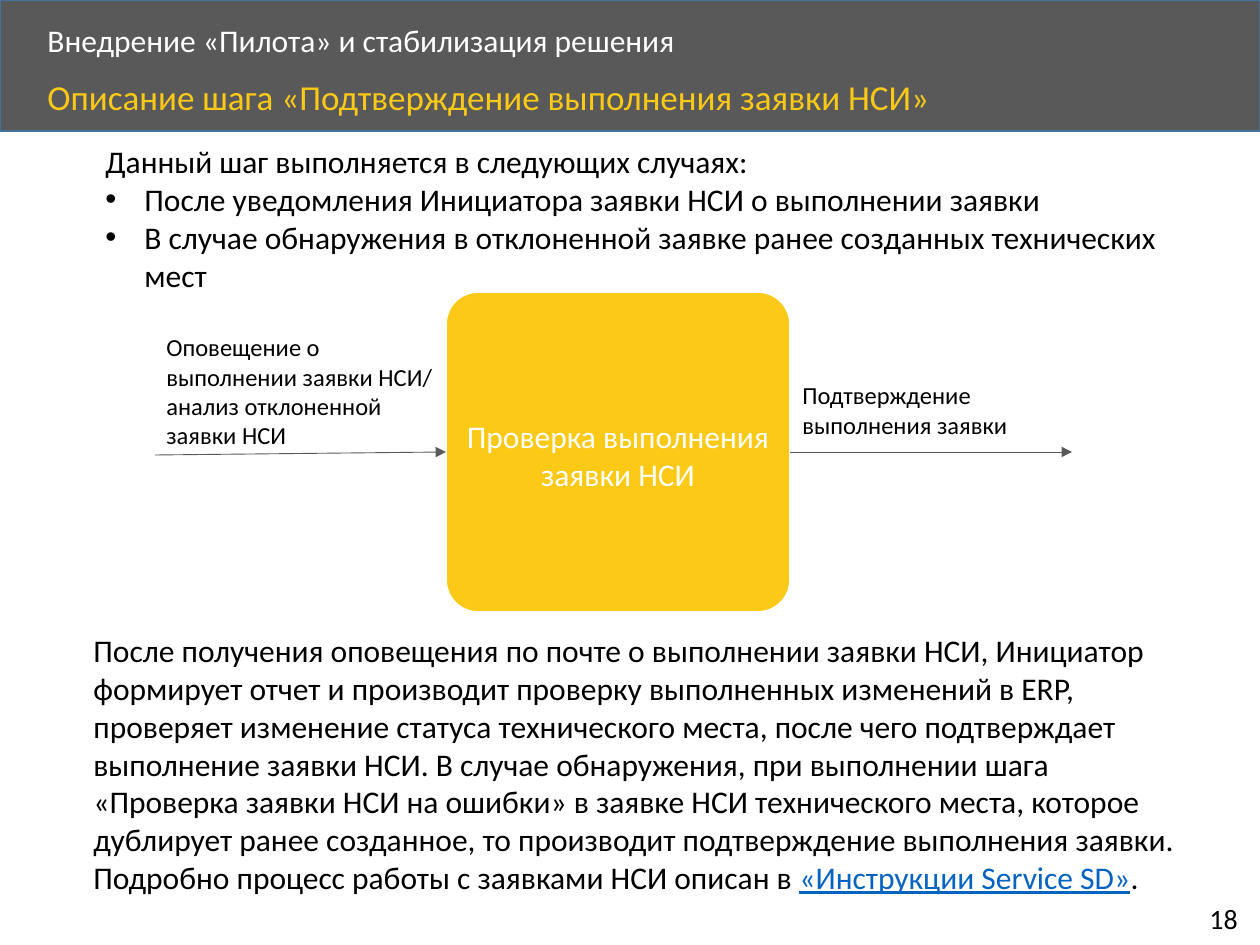
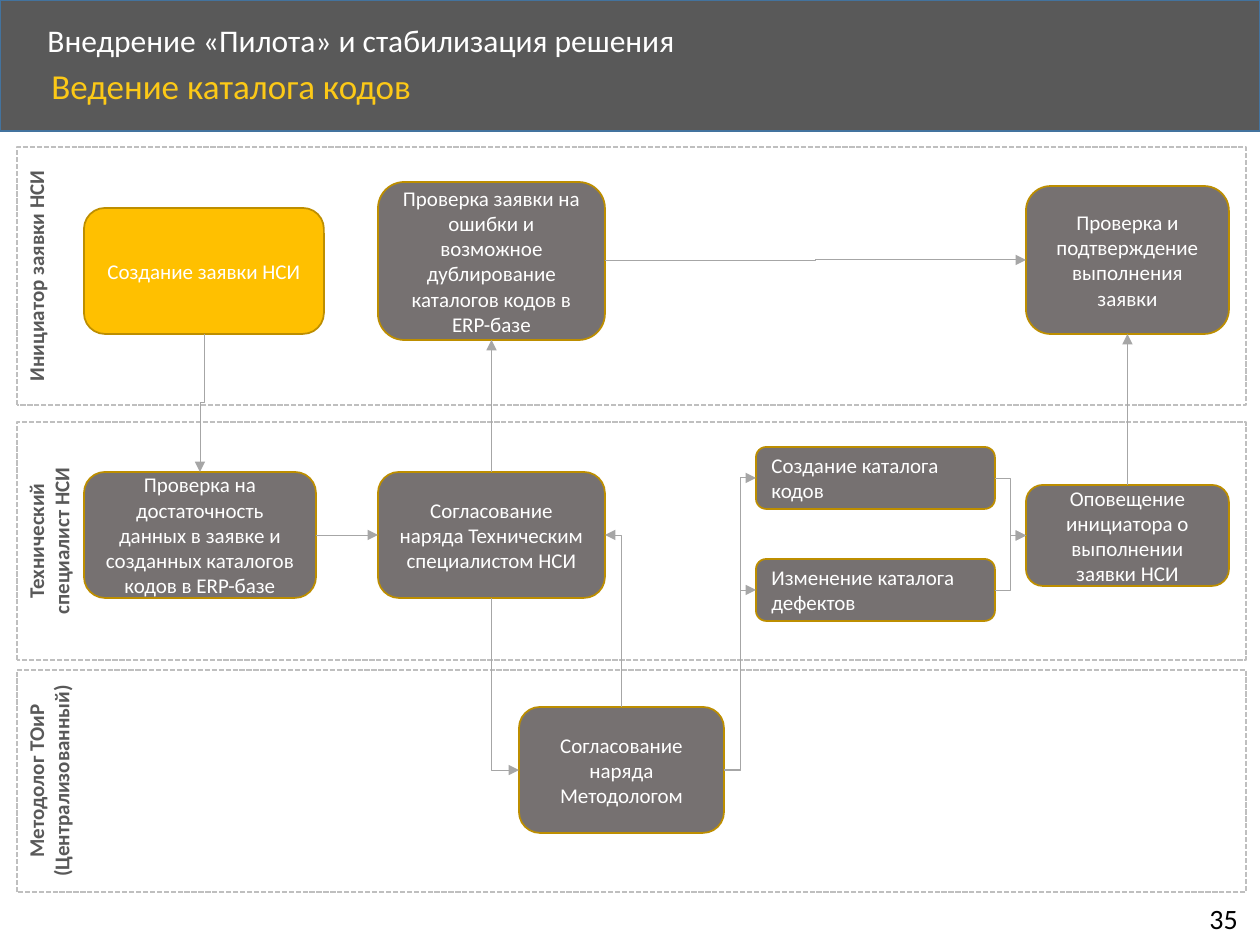
from dataclasses import dataclass
from typing import Any, NamedTuple, Optional

from lxml.etree import SubElement
from pptx import Presentation
from pptx.dml.color import RGBColor
from pptx.enum.dml import MSO_LINE
from pptx.enum.shapes import MSO_CONNECTOR as Link, MSO_SHAPE as Form
from pptx.enum.text import MSO_ANCHOR as Anchor, PP_ALIGN as Align
from pptx.oxml.ns import qn
from pptx.util import Emu, Pt

SCALE = 914400 / 126
FONT = "Calibri"
WHITE, BLACK, DARK, GREY = "FFFFFF", "000000", "595959", "767171"
GOLD, AMBER, BROWN, BLUE = "FCC917", "FFC000", "BD8E00", "0563C1"
WIRE, DASH, EDGE = "A6A6A6", "BFBFBF", "43739E"
TOP, LEFT, BASE, RIGHT = range(4)


class Box(NamedTuple):
    x: float
    y: float
    w: float
    h: float


@dataclass
class Type:
    size: int = 18
    hue: str = BLACK
    bold: bool = False
    align: Align = Align.LEFT
    anchor: Anchor = Anchor.TOP
    space: float = 1.0
    wrap: bool = True


@dataclass
class Look:
    fill: Optional[str]
    edge: str
    form: Form = Form.ROUNDED_RECTANGLE
    round: Optional[float] = None
    dash: Optional[MSO_LINE] = None


class Node(NamedTuple):
    key: str
    box: Box
    text: str
    fill: str = GREY
    align: Align = Align.CENTER


class Lane(NamedTuple):
    y: int
    h: int
    lines: list[str]


class Wire(NamedTuple):
    start: str
    out: int
    end: str
    into: int


def px(n: float) -> Emu:
    return Emu(round(n * SCALE))


def hue(code: str) -> RGBColor:
    return RGBColor.from_string(code)


def apply(item: Any, values: dict[str, Any]) -> None:
    for name, value in values.items():
        setattr(item, name, value)


def place(box: Box) -> list[Emu]:
    return [px(n) for n in box]


def add_run(para: Any, text: str, kind: Type) -> Any:
    run = para.add_run()
    run.text = text
    apply(run.font, {"name": FONT, "size": Pt(kind.size), "bold": kind.bold})
    run.font.color.rgb = hue(kind.hue)
    return run


def write(shape: Any, lines: list[str], kind: Type) -> Any:
    frame = shape.text_frame
    apply(frame, {"word_wrap": kind.wrap, "vertical_anchor": kind.anchor})
    for i, text in enumerate(lines):
        para = frame.add_paragraph() if i else frame.paragraphs[0]
        apply(para, {"alignment": kind.align, "line_spacing": kind.space})
        add_run(para, text, kind)
    return frame


def add_text(slide: Any, box: Box, lines: list[str], kind: Type) -> Any:
    return write(slide.shapes.add_textbox(*place(box)), lines, kind)


def add_form(slide: Any, box: Box, look: Look) -> Any:
    shape = slide.shapes.add_shape(look.form, *place(box))
    shape.shadow.inherit = False
    if look.fill:
        shape.fill.solid()
        shape.fill.fore_color.rgb = hue(look.fill)
    else:
        shape.fill.background()
    shape.line.color.rgb = hue(look.edge)
    apply(shape.line, {"width": Pt(1), "dash_style": look.dash})
    if look.round is not None:
        shape.adjustments[0] = look.round
    return shape


def add_link(slide: Any, kind: Link, ends: list[Emu], tint: str) -> Any:
    link = slide.shapes.add_connector(kind, *ends)
    link.line.color.rgb = hue(tint)
    link.line.width = Pt(0.5)
    props = link.element.spPr
    SubElement(props.find(qn("a:ln")), qn("a:tailEnd"), type="triangle")
    SubElement(props, qn("a:effectLst"))
    return link


def side(shape: Any, spot: int) -> tuple[Emu, Emu]:
    x, y, w, h = shape.left, shape.top, shape.width, shape.height
    points = [(x + w // 2, y), (x, y + h // 2), (x + w // 2, y + h), (x + w, y + h // 2)]
    return points[spot]


def turn(link: Any, start: tuple[Emu, Emu], end: tuple[Emu, Emu]) -> None:
    (x1, y1), (x2, y2) = start, end
    wide, tall = abs(x2 - x1), abs(y2 - y1)
    apply(link, {"left": (x1 + x2 - tall) // 2, "top": (y1 + y2 - wide) // 2,
                 "width": tall, "height": wide})
    apply(link.element.spPr.xfrm, {"rot": 90 if y2 > y1 else 270, "flipH": False,
                                   "flipV": (x2 > x1) == (y2 > y1)})


def join(slide: Any, nodes: dict[str, Any], wire: Wire) -> None:
    first, last = nodes[wire.start], nodes[wire.end]
    start, end = side(first, wire.out), side(last, wire.into)
    flat = start[0] == end[0] or start[1] == end[1]
    kind = Link.STRAIGHT if flat else Link.ELBOW
    link = add_link(slide, kind, [*start, *end], WIRE)
    link.begin_connect(first, wire.out)
    link.end_connect(last, wire.into)
    if not flat and wire.out in (TOP, BASE):
        turn(link, start, end)
        if wire.into in (LEFT, RIGHT):
            link.element.spPr.find(qn("a:prstGeom")).set("prst", "bentConnector2")


def add_dot(para: Any) -> None:
    props = para._p.get_or_add_pPr()
    props.set("marL", str(px(39)))
    props.set("indent", str(-px(39)))
    SubElement(props, qn("a:buFont"), typeface="Arial")
    SubElement(props, qn("a:buChar"), char="•")


def add_page(deck: Any, title: str, spot: Box, page: str) -> Any:
    slide = deck.slides.add_slide(deck.slide_layouts[6])
    add_form(slide, Box(0, 0, 1260, 131), Look(DARK, EDGE, Form.RECTANGLE))
    add_text(slide, Box(35, 18, 1017, 48), ["Внедрение «Пилота» и стабилизация решения"],
             Type(hue=WHITE, anchor=Anchor.MIDDLE, space=0.9))
    add_text(slide, Box(1197, 895, 58, 47), [page], Type(16, wrap=False))
    add_text(slide, spot, [title], Type(20, GOLD, space=0.9))
    return slide


def draw_step(deck: Any) -> None:
    slide = add_page(deck, "Описание шага «Подтверждение выполнения заявки НСИ»",
                     Box(35, 74, 1092, 57), "18")
    cases = add_text(slide, Box(93, 136, 1103, 165), [
        "Данный шаг выполняется в следующих случаях:",
        "После уведомления Инициатора заявки НСИ о выполнении заявки",
        "В случае обнаружения в отклоненной заявке ранее созданных технических мест",
    ], Type())
    for para in cases.paragraphs[1:]:
        add_dot(para)

    check = add_form(slide, Box(446, 292, 344, 320), Look(GOLD, WHITE, round=0.1))
    after = add_link(slide, Link.STRAIGHT, [px(n) for n in (790, 452, 1072, 452)], DARK)
    after.begin_connect(check, RIGHT)
    before = add_link(slide, Link.STRAIGHT, [px(n) for n in (155, 455, 446, 452)], DARK)
    before.end_connect(check, LEFT)

    add_text(slide, Box(446, 295, 344, 320), ["Проверка выполнения заявки НСИ"],
             Type(hue=WHITE, align=Align.CENTER, anchor=Anchor.MIDDLE))
    add_text(slide, Box(154, 326, 291, 131),
             ["Оповещение о выполнении заявки НСИ/ анализ отклоненной заявки НСИ"], Type(14))
    add_text(slide, Box(790, 374, 237, 72), ["Подтверждение выполнения заявки"], Type(14))

    body = add_text(slide, Box(81, 625, 1128, 280), [
        "После получения оповещения по почте о выполнении заявки НСИ, Инициатор "
        "формирует отчет и производит проверку выполненных изменений в ERP, проверяет "
        "изменение статуса технического места, после чего подтверждает выполнение "
        "заявки НСИ. В случае обнаружения, при выполнении шага «Проверка заявки НСИ на "
        "ошибки» в заявке НСИ технического места, которое дублирует ранее созданное, "
        "то производит подтверждение выполнения заявки. Подробно процесс работы "
        "c заявками НСИ описан в "], Type())
    para = body.paragraphs[0]
    add_run(para, "«Инструкции Service SD»", Type(hue=BLUE)).font.underline = True
    add_run(para, ".", Type())


LANES = [
    Lane(147, 258, ["Инициатор заявки НСИ"]),
    Lane(422, 238, ["Технический специалист НСИ"]),
    Lane(670, 222, ["Методолог ТОиР", "(Централизованный)"]),
]

NODES = [
    Node("start", Box(84, 208, 240, 126), "Создание заявки НСИ", AMBER),
    Node("data", Box(84, 472, 232, 126),
         "Проверка на достаточность данных в заявке и созданных каталогов кодов в ERP-базе"),
    Node("tech", Box(378, 472, 227, 126), "Согласование наряда Техническим специалистом НСИ"),
    Node("method", Box(519, 707, 205, 126), "Согласование наряда Методологом"),
    Node("double", Box(378, 182, 227, 158),
         "Проверка заявки на ошибки и возможное дублирование каталогов кодов в ERP-базе"),
    Node("confirm", Box(1026, 186, 203, 148), "Проверка и подтверждение выполнения заявки"),
    Node("new", Box(756, 447, 239, 62), "Создание каталога кодов", align=Align.LEFT),
    Node("change", Box(756, 559, 239, 62), "Изменение каталога дефектов", align=Align.LEFT),
    Node("notice", Box(1026, 485, 203, 101), "Оповещение инициатора о выполнении заявки НСИ"),
]

WIRES = [
    Wire("start", BASE, "data", TOP),
    Wire("data", RIGHT, "tech", LEFT),
    Wire("tech", BASE, "method", LEFT),
    Wire("method", TOP, "tech", RIGHT),
    Wire("method", RIGHT, "change", LEFT),
    Wire("method", RIGHT, "new", LEFT),
    Wire("new", RIGHT, "notice", LEFT),
    Wire("change", RIGHT, "notice", LEFT),
    Wire("double", RIGHT, "confirm", LEFT),
    Wire("notice", TOP, "confirm", BASE),
    Wire("tech", TOP, "double", BASE),
]


def draw_flow(deck: Any) -> None:
    slide = add_page(deck, "Ведение каталога кодов", Box(39, 63, 1092, 57), "35")
    left, wide = 17, 1229
    for lane in LANES:
        shift = (wide - lane.h) / 2
        shape = add_form(slide, Box(left + shift, lane.y - shift, lane.h, wide),
                         Look(None, DASH, round=0, dash=MSO_LINE.SQUARE_DOT))
        shape.rotation = 270
        write(shape, lane.lines, Type(12, DARK, True, Align.CENTER))

    shapes = {}
    for node in NODES:
        shape = shapes[node.key] = add_form(slide, node.box, Look(node.fill, BROWN))
        write(shape, [node.text], Type(12, WHITE, align=node.align, anchor=Anchor.MIDDLE))
    for wire in WIRES:
        join(slide, shapes, wire)


def main() -> None:
    deck = Presentation()
    apply(deck, {"slide_width": px(1260), "slide_height": px(945)})
    draw_step(deck)
    draw_flow(deck)
    deck.save("out.pptx")


if __name__ == "__main__":
    main()
